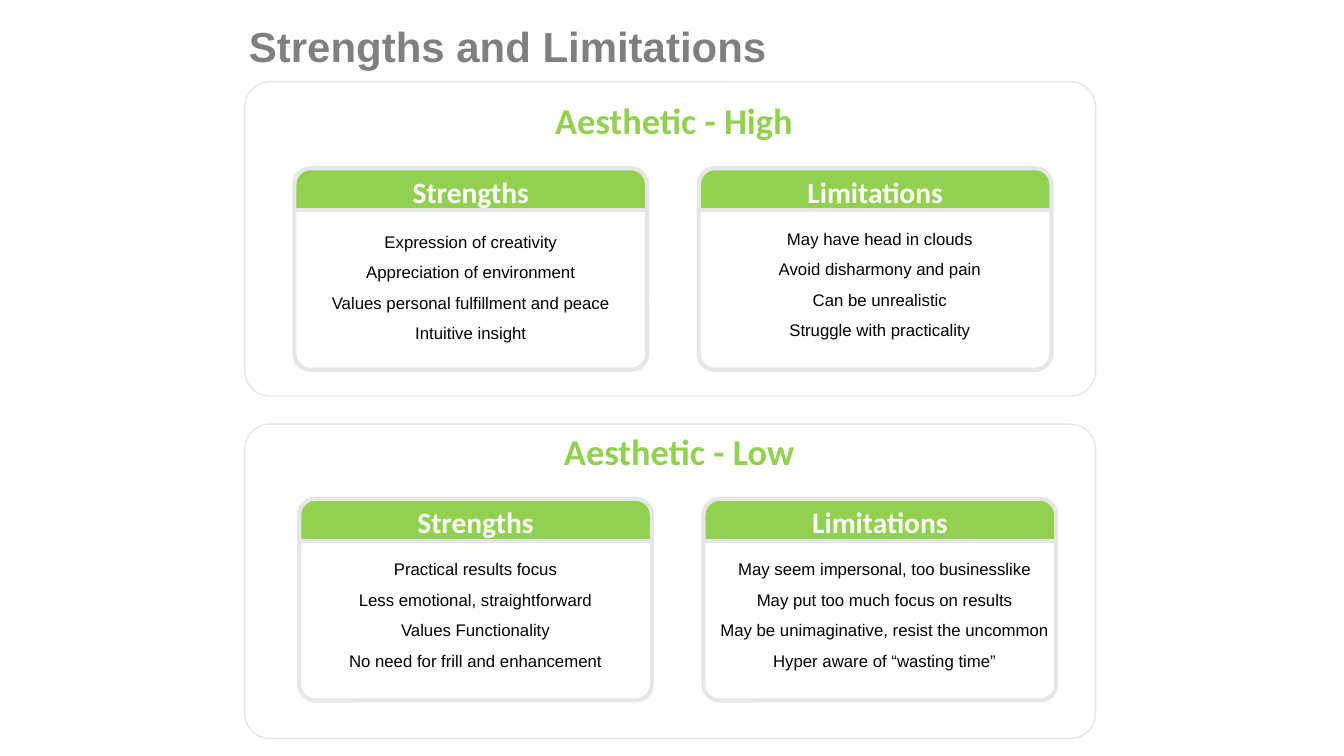
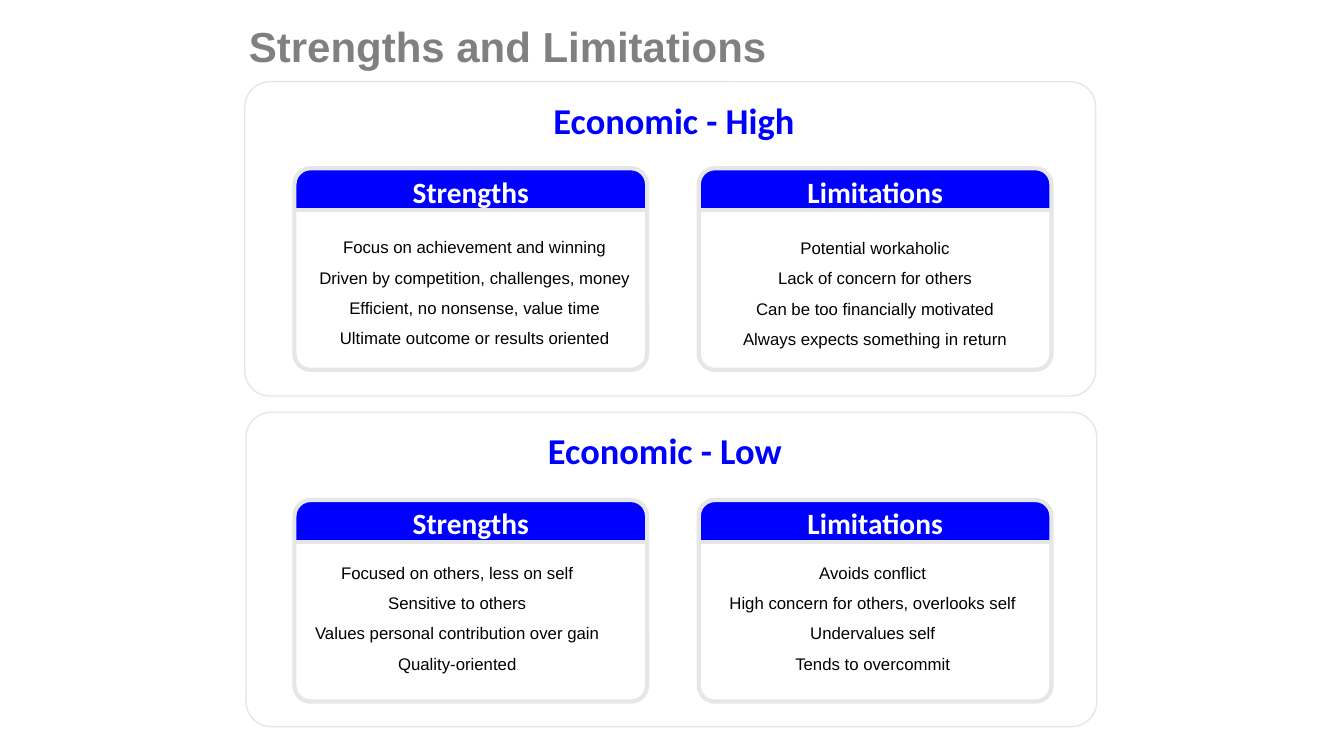
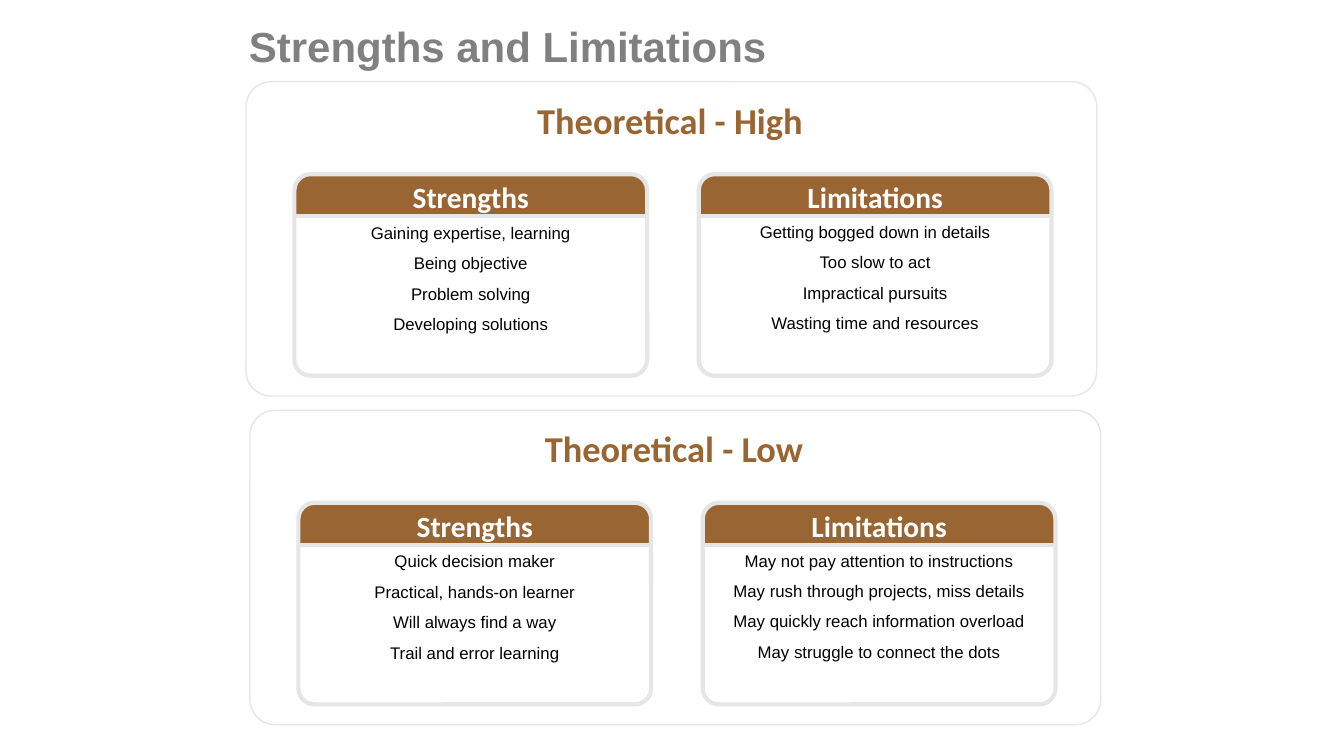
from dataclasses import dataclass

from lxml import etree
from pptx import Presentation
from pptx import util as u
from pptx.dml.color import RGBColor
from pptx.enum import shapes, text
from pptx.oxml.ns import qn

GREEN = RGBColor(0x92, 0xD0, 0x50)
BLUE = RGBColor(0x00, 0x00, 0xFF)
BROWN = RGBColor(0x99, 0x66, 0x33)
GRAY = RGBColor(0x80, 0x80, 0x80)
PALE = RGBColor(0xE7, 0xE6, 0xE6)
WHITE = RGBColor(0xFF, 0xFF, 0xFF)
BLACK = RGBColor(0x00, 0x00, 0x00)

# All lengths are centimetres.
PANEL_SIZE = (21.44, 7.92)
HEADING_SIZE = (8.48, 1.35)
CARD_WIDTH, CARD_HEIGHT, CARD_STEP = 8.89, 5.08, 10.19
BAR_HEIGHT = 1.02
POINTS_HEIGHT = 3.18


@dataclass
class Points:
    """Lines of a card; shift is from the card's centre, drop from its top."""
    lines: list
    drop: float
    width: float
    shift: float = 0


@dataclass
class Section:
    """A panel with a heading and two cards, each place being (left, top)."""
    heading: str
    panel: tuple
    heading_at: tuple
    card: tuple
    strengths: Points
    limitations: Points


def write(frame, lines, size, color, font="Arial", bold=False, spacing=None,
          align=text.PP_ALIGN.CENTER, anchor=text.MSO_ANCHOR.TOP, wrap=True):
    """Fill a text frame with one paragraph per line."""
    frame.word_wrap = wrap
    frame.auto_size = text.MSO_AUTO_SIZE.NONE
    frame.vertical_anchor = anchor
    for index, line in enumerate(lines):
        para = frame.add_paragraph() if index else frame.paragraphs[0]
        para.alignment = align
        if spacing:
            para.line_spacing = spacing
        para.space_before = u.Pt(6.6 if index else 0)
        span = para.add_run()
        span.text = line
        span.font.name = font
        span.font.size = u.Pt(size)
        span.font.bold = bold
        span.font.color.rgb = color


class Builder:
    def __init__(self):
        self.deck = Presentation()
        self.deck.slide_width = u.Cm(33.87)
        self.deck.slide_height = u.Cm(19.05)
        self.page = None
        self.accent = None

    def start_page(self, title, accent):
        self.page = self.deck.slides.add_slide(self.deck.slide_layouts[5])
        self.accent = accent
        box = self.page.shapes.title
        box.left, box.top = u.Cm(6.02), u.Cm(0.38)
        box.width, box.height = u.Cm(13.7), u.Cm(1.52)
        write(box.text_frame, [title], 30, GRAY, bold=True,
              align=text.PP_ALIGN.LEFT)

    def text_box(self, left, top, width, height, lines, **style):
        box = self.page.shapes.add_textbox(
            u.Cm(left), u.Cm(top), u.Cm(width), u.Cm(height))
        write(box.text_frame, lines, **style)

    def shape(self, kind, left, top, width, height, *adjustments):
        shape = self.page.shapes.add_shape(
            kind, u.Cm(left), u.Cm(top), u.Cm(width), u.Cm(height))
        shape.shadow.inherit = False
        for index, value in enumerate(adjustments):
            shape.adjustments[index] = value
        return shape

    def outline(self, left, top, width, height, corner, weight):
        frame = self.shape(shapes.MSO_SHAPE.ROUNDED_RECTANGLE,
                           left, top, width, height, corner)
        frame.fill.background()
        frame.line.color.rgb = PALE
        frame.line.width = u.Pt(weight)

    def bar(self, left, top, label):
        bar = self.shape(shapes.MSO_SHAPE.ROUND_2_SAME_RECTANGLE,
                         left, top, CARD_WIDTH, BAR_HEIGHT, 0.37, 0.1)
        bar.fill.solid()
        bar.fill.fore_color.rgb = self.accent
        bar.line.fill.background()
        write(bar.text_frame, [label], 21, WHITE, font="Calibri", bold=True,
              anchor=text.MSO_ANCHOR.MIDDLE, wrap=False)

    def divider(self, left, top):
        line = self.page.shapes.add_connector(
            shapes.MSO_CONNECTOR.STRAIGHT, u.Cm(left), u.Cm(top),
            u.Cm(left + CARD_WIDTH), u.Cm(top))
        line.line.color.rgb = PALE
        line.line.width = u.Pt(3)
        etree.SubElement(line._element.spPr, qn("a:effectLst"))

    def card(self, left, top, label, points):
        self.bar(left, top + 0.03, label)
        self.outline(left, top, CARD_WIDTH, CARD_HEIGHT, 0.08, 3)
        self.divider(left + 0.04, top + 1.06)
        centre = left + CARD_WIDTH / 2 + points.shift
        self.text_box(centre - points.width / 2, top + points.drop,
                      points.width, POINTS_HEIGHT, points.lines,
                      size=12, color=BLACK, spacing=1.05)

    def section(self, section):
        self.outline(*section.panel, *PANEL_SIZE, 0.08, 1)
        self.text_box(*section.heading_at, *HEADING_SIZE, [section.heading],
                      size=26, color=self.accent, font="Calibri", bold=True)
        left, top = section.card
        self.card(left, top, "Strengths", section.strengths)
        self.card(left + CARD_STEP, top, "Limitations", section.limitations)


PAGES = [
    (GREEN, [
        Section("Aesthetic - High", (6.17, 2.06), (12.75, 2.36), (7.42, 4.24),
                Points(["Expression of creativity",
                        "Appreciation of environment",
                        "Values personal fulfillment and peace",
                        "Intuitive insight"], 1.45, 8.89),
                Points(["May have head in clouds",
                        "Avoid disharmony and pain",
                        "Can be unrealistic",
                        "Struggle with practicality"], 1.37, 10.36, 0.12)),
        Section("Aesthetic - Low", (6.17, 10.69), (12.88, 10.69), (7.54, 12.57),
                Points(["Practical results focus",
                        "Less emotional, straightforward",
                        "Values Functionality",
                        "No need for frill and enhancement"], 1.37, 8.89),
                Points(["May seem impersonal, too businesslike",
                        "May put too much focus on results",
                        "May be unimaginative, resist the uncommon",
                        "Hyper aware of “wasting time”"], 1.37, 10.36, 0.12)),
    ]),
    (BLUE, [
        Section("Economic - High", (6.17, 2.06), (12.75, 2.36), (7.42, 4.24),
                Points(["Focus on achievement and winning",
                        "Driven by competition, challenges, money",
                        "Efficient, no nonsense, value time",
                        "Ultimate outcome or results oriented"],
                       1.58, 8.89, 0.1),
                Points(["Potential workaholic",
                        "Lack of concern for others",
                        "Can be too financially motivated",
                        "Always expects something in return"], 1.6, 10.36)),
        Section("Economic - Low", (6.2, 10.39), (12.52, 10.67), (7.42, 12.6),
                Points(["Focused on others, less on self",
                        "Sensitive to others",
                        "Values personal contribution over gain",
                        "Quality-oriented"], 1.42, 7.92, -0.34),
                Points(["Avoids conflict",
                        "High concern for others, overlooks self",
                        "Undervalues self",
                        "Tends to overcommit"], 1.42, 9.02, -0.06)),
    ]),
    (BROWN, [
        Section("Theoretical - High", (6.2, 2.06), (12.65, 2.36), (7.42, 4.39),
                Points(["Gaining expertise, learning",
                        "Being objective",
                        "Problem solving",
                        "Developing solutions"], 1.07, 7.92),
                Points(["Getting bogged down in details",
                        "Too slow to act",
                        "Impractical pursuits",
                        "Wasting time and resources"], 1.05, 9.45)),
        Section("Theoretical - Low", (6.3, 10.34), (12.75, 10.62), (7.52, 12.67),
                Points(["Quick decision maker",
                        "Practical, hands-on learner",
                        "Will always find a way",
                        "Trail and error learning"], 1.07, 7.92),
                Points(["May not pay attention to instructions",
                        "May rush through projects, miss details",
                        "May quickly reach information overload",
                        "May struggle to connect the dots"], 1.05, 9.45)),
    ]),
]


def main():
    builder = Builder()
    for accent, sections in PAGES:
        builder.start_page("Strengths and Limitations", accent)
        for section in sections:
            builder.section(section)
    builder.deck.save("out.pptx")


if __name__ == "__main__":
    main()
